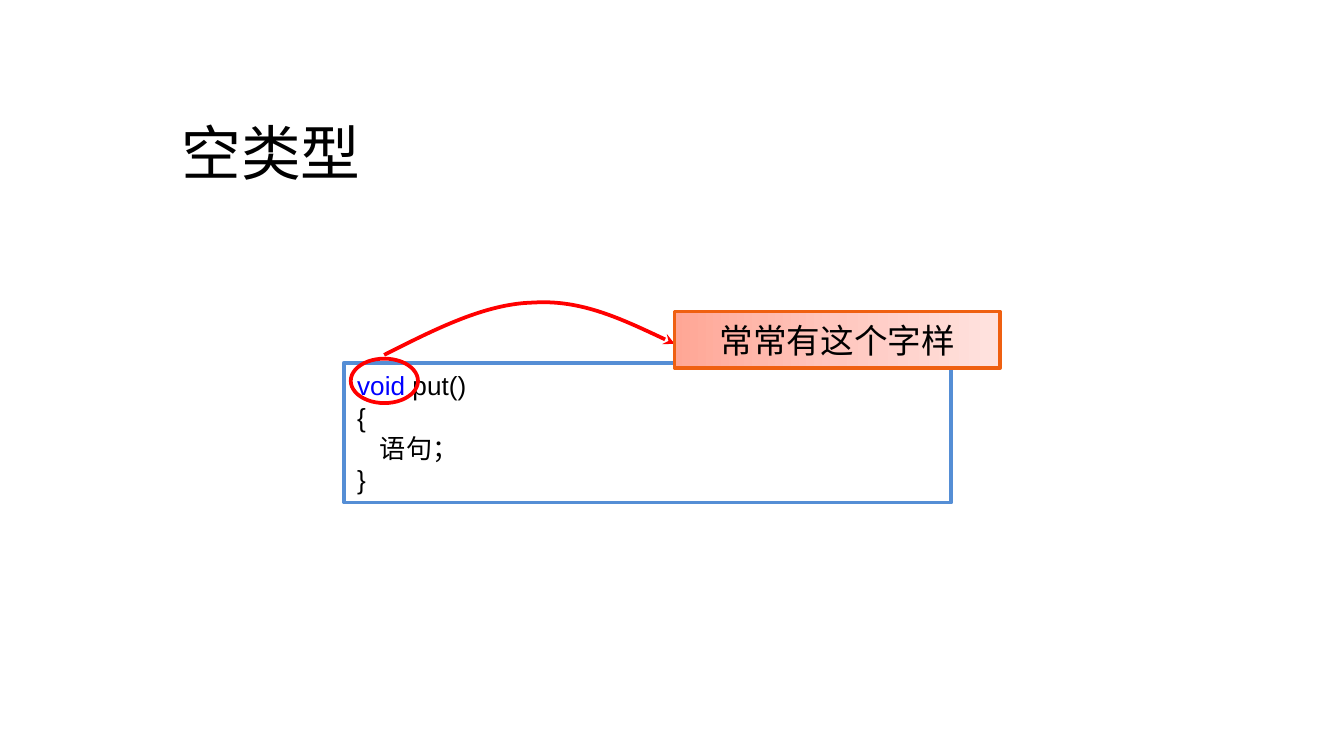
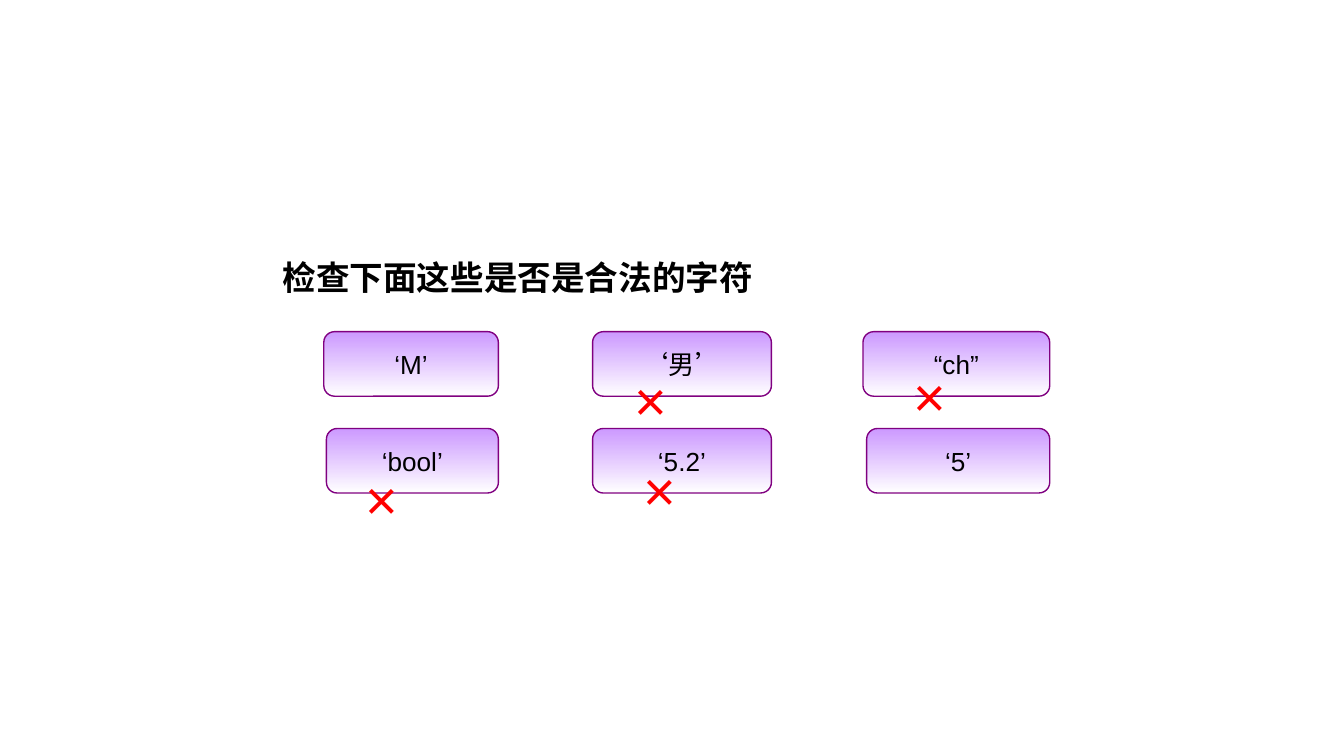
from copy import deepcopy

from lxml import etree
from pptx import Presentation
from pptx.dml.color import RGBColor
from pptx.enum.shapes import MSO_SHAPE
from pptx.enum.text import MSO_ANCHOR, MSO_AUTO_SIZE, PP_ALIGN
from pptx.oxml.ns import qn
from pptx.util import Cm, Pt

RECT, OVAL, ROUNDED = MSO_SHAPE.RECTANGLE, MSO_SHAPE.OVAL, MSO_SHAPE.ROUNDED_RECTANGLE
LEFT, CENTER = PP_ALIGN.LEFT, PP_ALIGN.CENTER
TOP, MIDDLE = MSO_ANCHOR.TOP, MSO_ANCHOR.MIDDLE
NO_AUTOFIT = MSO_AUTO_SIZE.NONE

BLACK = RGBColor(0x00, 0x00, 0x00)
RED = RGBColor(0xFF, 0x00, 0x00)
KEYWORD_BLUE = RGBColor(0x00, 0x00, 0xFF)
FRAME_BLUE = RGBColor(0x55, 0x8E, 0xD5)
ORANGE = RGBColor(0xEF, 0x60, 0x11)
PURPLE = RGBColor(0x80, 0x00, 0x80)
SALMON_STOPS = [RGBColor(0xFF, 0xA6, 0x95), RGBColor(0xFF, 0xC7, 0xBF),
                RGBColor(0xFF, 0xE3, 0xDF)]
LILAC_STOPS = [RGBColor(0xCC, 0x99, 0xFF), RGBColor(0xFF, 0xFF, 0xFF)]

HEAD_FONT, BODY_FONT = "Calibri", "Arial"
WIDE_INSETS, TIGHT_INSETS = (0.25, 0.13), (0.18, 0.1)


class Deck:
    def __init__(self):
        self.prs = Presentation()
        self.prs.slide_width, self.prs.slide_height = Cm(25.4), Cm(14.29)
        self.slide = None

    def add_slide(self):
        self.slide = self.prs.slides.add_slide(self.prs.slide_layouts[5])

    def set_text(self, sp, lines, size, font=BODY_FONT, color=BLACK, bold=False,
                 align=LEFT, anchor=TOP, insets=WIDE_INSETS, wrap=True):
        tf = sp.text_frame
        tf.text = "\n".join(lines)
        tf.auto_size, tf.word_wrap, tf.vertical_anchor = NO_AUTOFIT, wrap, anchor
        tf.margin_left = tf.margin_right = Cm(insets[0])
        tf.margin_top = tf.margin_bottom = Cm(insets[1])
        for p in tf.paragraphs:
            p.alignment = align
            p.font.name, p.font.size, p.font.bold = font, Pt(size), bold
            p.font.color.rgb = color
        return tf

    def title(self, text, box, size, **style):
        sp = self.slide.shapes.title
        sp.left, sp.top, sp.width, sp.height = map(Cm, box)
        self.set_text(sp, [text], size, **style)

    def outline(self, sp, color, width):
        sp.shadow.inherit = False
        sp.fill.background()
        sp.line.color.rgb = color
        sp.line.width = Pt(width)

    def shape(self, kind, box, color, width=2):
        sp = self.slide.shapes.add_shape(kind, *map(Cm, box))
        self.outline(sp, color, width)
        return sp

    def gradient(self, sp, colors, angle):
        """Spread the colours evenly; the angle runs counter-clockwise."""
        sp.fill.gradient()
        sp.fill.gradient_angle = angle
        stop_list = sp._element.spPr.find(".//" + qn("a:gsLst"))
        while len(stop_list) < len(colors):
            stop_list.append(deepcopy(stop_list[-1]))
        for i, (stop, color) in enumerate(zip(sp.fill.gradient_stops, colors)):
            stop.position = i / (len(colors) - 1)
            stop.color.rgb = color

    def text(self, text, box, size, **style):
        sp = self.slide.shapes.add_textbox(*map(Cm, box))
        self.set_text(sp, [text], size, **style)

    def curved_arrow(self, points, color, width):
        """Draw Bezier segments: a start point, then three points for each."""
        (x, y), *rest = [(Cm(px), Cm(py)) for px, py in points]
        builder = self.slide.shapes.build_freeform(x, y)
        builder.add_line_segments(rest, close=False)
        sp = builder.convert_to_shape()
        self.outline(sp, color, width)
        track = sp._element.find(".//" + qn("a:path"))
        segments = track.findall(qn("a:lnTo"))
        for i in range(0, len(segments), 3):
            bezier = etree.SubElement(track, qn("a:cubicBezTo"))
            for segment in segments[i:i + 3]:
                bezier.append(segment[0])
                track.remove(segment)
        ln = sp._element.spPr.find(qn("a:ln"))
        etree.SubElement(ln, qn("a:tailEnd"), type="stealth")


def void_type_slide(deck):
    deck.add_slide()
    deck.title("空类型", (3.18, 2.06, 15.44, 1.7), 32, font=HEAD_FONT)

    code = deck.shape(RECT, (6.5, 6.86, 11.48, 2.64), FRAME_BLUE)
    tf = deck.set_text(code, ["void", "{", "语句；", "}"], 14)
    signature, _, statement, _ = tf.paragraphs
    signature.runs[0].font.color.rgb = KEYWORD_BLUE
    signature.add_run().text = " put()"
    statement._p.get_or_add_pPr().set("marL", str(Cm(0.43)))

    deck.shape(OVAL, (6.63, 6.78, 1.27, 0.84), RED)
    deck.curved_arrow([(7.26, 6.71), (8.23, 6.22), (9.17, 5.74), (10.08, 5.72),
                       (11, 5.66), (11.89, 6.1), (12.75, 6.5)], RED, 2)

    callout = deck.shape(RECT, (12.75, 5.89, 6.15, 1.07), ORANGE)
    deck.gradient(callout, SALMON_STOPS, 0)
    deck.set_text(callout, ["常常有这个字样"], 18, font=HEAD_FONT,
                  align=CENTER, anchor=MIDDLE)


def character_check_slide(deck):
    deck.add_slide()
    deck.title("检查下面这些是否是合法的字符", (5.16, 4.75, 10.41, 1.32), 18,
               bold=True, insets=TIGHT_INSETS)

    right_edges = (9.42, 14.58, 19.84)
    rows = [[("‘M’", 6.12), ("‘男’", 11.2), ("“ch”", 16.31)],
            [("‘bool’", 6.17), ("‘5.2’", 11.2), ("‘5’", 16.38)]]
    for i, row in enumerate(rows):
        for (label, left), right in zip(row, right_edges):
            button = deck.shape(ROUNDED, (left, 6.27 + i * 1.83, right - left, 1.22),
                                PURPLE, 0.75)
            deck.gradient(button, LILAC_STOPS, 270)
            deck.set_text(button, [label], 14, align=CENTER, anchor=MIDDLE,
                          insets=TIGHT_INSETS, wrap=False)

    for left, top in [(11.81, 6.81), (17.09, 6.73), (6.73, 8.69), (11.99, 8.51)]:
        deck.text("×", (left, top, 1.96, 1.47), 30, color=RED, insets=TIGHT_INSETS)


def main():
    deck = Deck()
    void_type_slide(deck)
    character_check_slide(deck)
    deck.prs.save("out.pptx")


if __name__ == "__main__":
    main()
